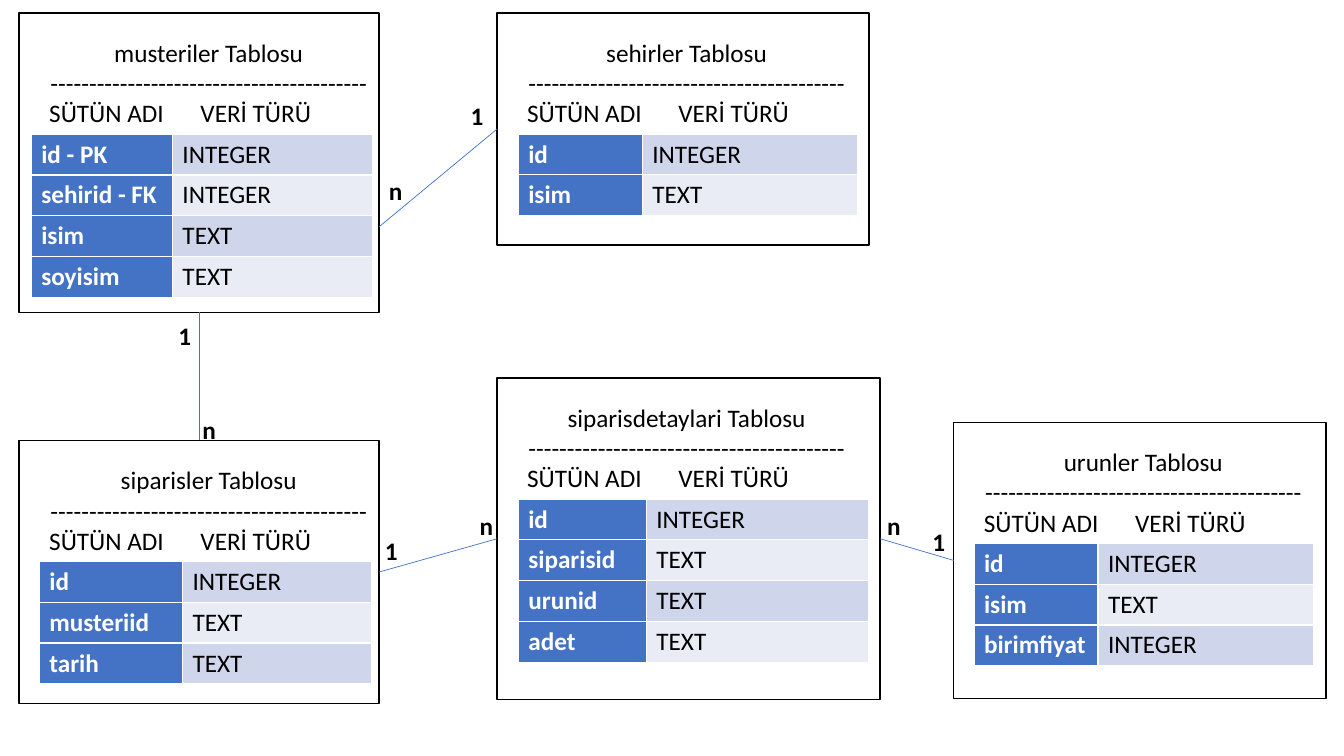
from pptx import Presentation
from pptx.dml.color import RGBColor
from pptx.enum.shapes import MSO_CONNECTOR as Connector, MSO_SHAPE as Shape
from pptx.enum.text import MSO_AUTO_SIZE as AutoSize, PP_ALIGN as Align
from pptx.oxml import parse_xml
from pptx.oxml.ns import nsdecls
from pptx.util import Inches, Pt

COLORS = {
    "white": "FFFFFF",
    "black": "000000",
    "blue": "4472C4",
    "band_dark": "CFD5EA",
    "band_light": "E9EBF5",
}
TOP, LEFT, BOTTOM, RIGHT = range(4)
ROW_HEIGHT = 0.405
HEADING_SIZE = (3.36, 1.01)
LABEL_SIZE = (0.34, 0.4)

# Each entity: box, table inset from the box's left, column widths, fields
ENTITIES = {
    "musteriler": ((0.19, 0.13, 3.57, 2.97), 0.12, (1.4, 1.99), [
        ("id - PK", "INTEGER"), ("sehirid - FK", "INTEGER"),
        ("isim", "TEXT"), ("soyisim", "TEXT")]),
    "sehirler": ((4.93, 0.13, 3.69, 2.3), 0.21, (1.23, 2.14), [
        ("id", "INTEGER"), ("isim", "TEXT")]),
    "urunler": ((9.46, 4.19, 3.69, 2.74), 0.2, (1.23, 2.14), [
        ("id", "INTEGER"), ("isim", "TEXT"), ("birimfiyat", "INTEGER")]),
    "siparisler": ((0.19, 4.37, 3.57, 2.61), 0.2, (1.42, 1.88), [
        ("id", "INTEGER"), ("musteriid", "TEXT"), ("tarih", "TEXT")]),
    "siparisdetaylari": ((4.93, 3.75, 3.8, 3.19), 0.21, (1.27, 2.21), [
        ("id", "INTEGER"), ("siparisid", "TEXT"),
        ("urunid", "TEXT"), ("adet", "TEXT")]),
}

# Each relation end: entity and side
RELATIONS = [
    (("siparisler", RIGHT), ("siparisdetaylari", LEFT)),
    (("siparisdetaylari", RIGHT), ("urunler", LEFT)),
    (("musteriler", BOTTOM), ("siparisler", TOP)),
]
CARDINALITIES = [
    ("1", 1.67, 3.13), ("n", 1.91, 4.06),
    ("n", 3.76, 1.69), ("1", 4.57, 0.95),
    ("1", 3.72, 5.26), ("n", 4.66, 5.01),
    ("n", 8.7, 5.01), ("1", 9.15, 5.17),
]


def color(name):
    return RGBColor.from_string(COLORS[name])


def write(para, text, ink="black", bold=False):
    run = para.add_run()
    run.text = text
    formats = {"name": "Calibri", "size": Pt(18), "bold": bold}
    for key, value in formats.items():
        setattr(run.font, key, value)
    run.font.color.rgb = color(ink)


def add_text(page, left, top, size, lines, bold=False):
    box = page.shapes.add_textbox(*map(Inches, (left, top, *size)))
    frame = box.text_frame
    frame.word_wrap = False
    frame.auto_size = AutoSize.SHAPE_TO_FIT_TEXT
    for index, (text, align) in enumerate(lines):
        para = frame.paragraphs[0] if index == 0 else frame.add_paragraph()
        para.alignment = align
        write(para, text, bold=bold)


def format_cell(cell, text, fill, ink, bold):
    write(cell.text_frame.paragraphs[0], text, ink, bold)
    properties = cell._tc.get_or_add_tcPr()
    for side in ("lnL", "lnR", "lnT", "lnB"):
        properties.append(parse_xml(
            f'<a:{side} {nsdecls("a")} w="12700"><a:solidFill>'
            f'<a:srgbClr val="{COLORS["white"]}"/></a:solidFill></a:{side}>'))
    cell.fill.solid()
    cell.fill.fore_color.rgb = color(fill)


def add_fields(page, left, top, widths, fields):
    table = page.shapes.add_table(
        len(fields), 2, Inches(left), Inches(top),
        Inches(sum(widths)), Inches(ROW_HEIGHT * len(fields))).table
    table.first_row = False
    table.first_col = True
    for column, width in zip(table.columns, widths):
        column.width = Inches(width)
    for index, (name, kind) in enumerate(fields):
        table.rows[index].height = Inches(ROW_HEIGHT)
        band = "band_light" if index % 2 else "band_dark"
        format_cell(table.cell(index, 0), name, "blue", "white", True)
        format_cell(table.cell(index, 1), kind, band, "black", False)


def add_entity(page, name, box, inset, widths, fields):
    left, top, width, height = box
    add_fields(page, left + inset, top + 1.2, widths, fields)
    add_text(page, left + 0.2, top + 0.19, HEADING_SIZE, [
        (f"{name} Tablosu", Align.CENTER),
        ("-" * 41, Align.CENTER),
        ("SÜTÜN ADI\tVERİ TÜRÜ", Align.LEFT),
    ])
    outline = page.shapes.add_shape(
        Shape.RECTANGLE, *map(Inches, (left, top, width, height)))
    outline.shadow.inherit = False
    outline.fill.background()
    outline.line.color.rgb = color("black")
    outline.line.width = Pt(1)
    return outline


def add_line(page, start=(0, 0), end=(0, 0)):
    line = page.shapes.add_connector(
        Connector.STRAIGHT, *map(Inches, (*start, *end)))
    line.line.color.rgb = color("blue")
    line.line.width = Pt(0.5)
    line._element.spPr.append(parse_xml(f'<a:effectLst {nsdecls("a")}/>'))
    return line


def add_relations(page, outlines):
    # The city key points from the side of its own table row
    city_line = add_line(page, (4.93, 1.28), (3.76, 2.25))
    city_line.begin_connect(outlines["sehirler"], LEFT)
    for (source, source_side), (target, target_side) in RELATIONS:
        line = add_line(page)
        line.begin_connect(outlines[source], source_side)
        line.end_connect(outlines[target], target_side)
    for text, left, top in CARDINALITIES:
        add_text(page, left, top, LABEL_SIZE, [(text, Align.LEFT)], bold=True)


def main():
    deck = Presentation()
    deck.slide_width, deck.slide_height = Inches(13.33), Inches(7.5)
    page = deck.slides.add_slide(deck.slide_layouts[6])
    outlines = {name: add_entity(page, name, *parts)
                for name, parts in ENTITIES.items()}
    add_relations(page, outlines)
    deck.save("out.pptx")


if __name__ == "__main__":
    main()
